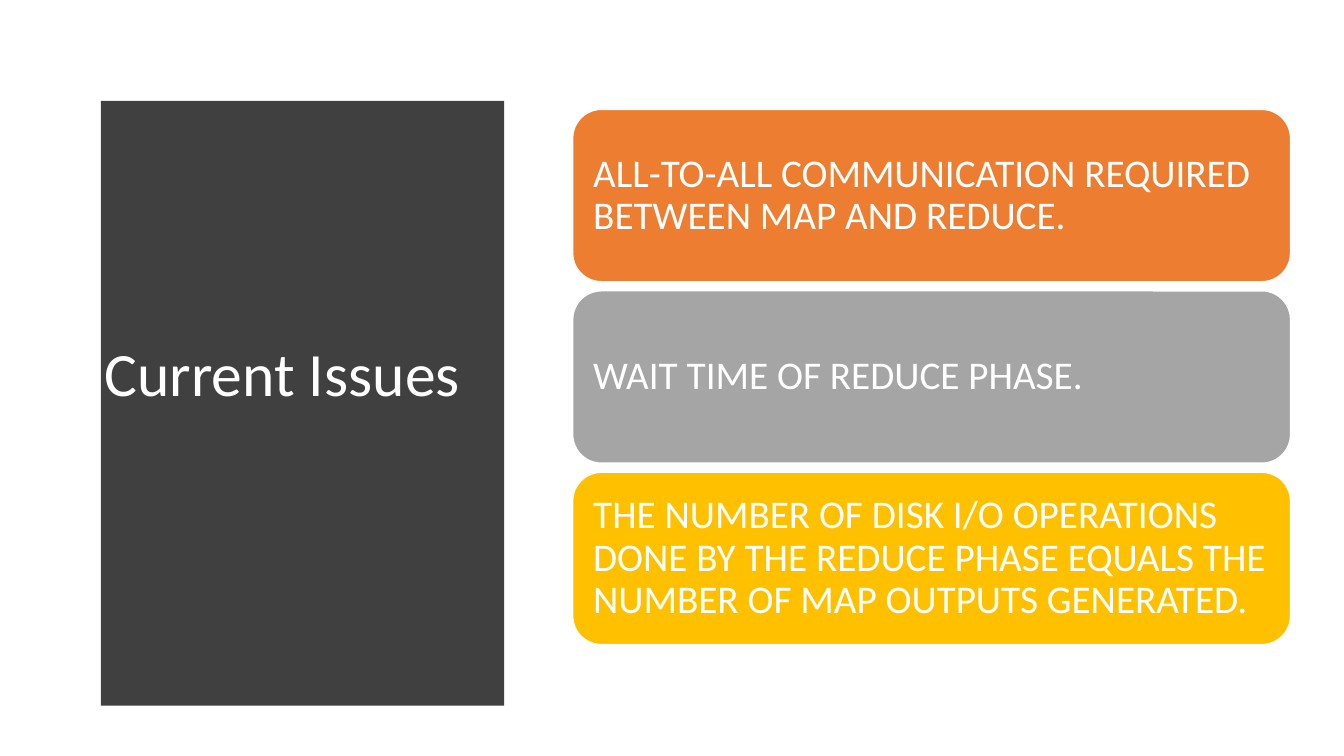
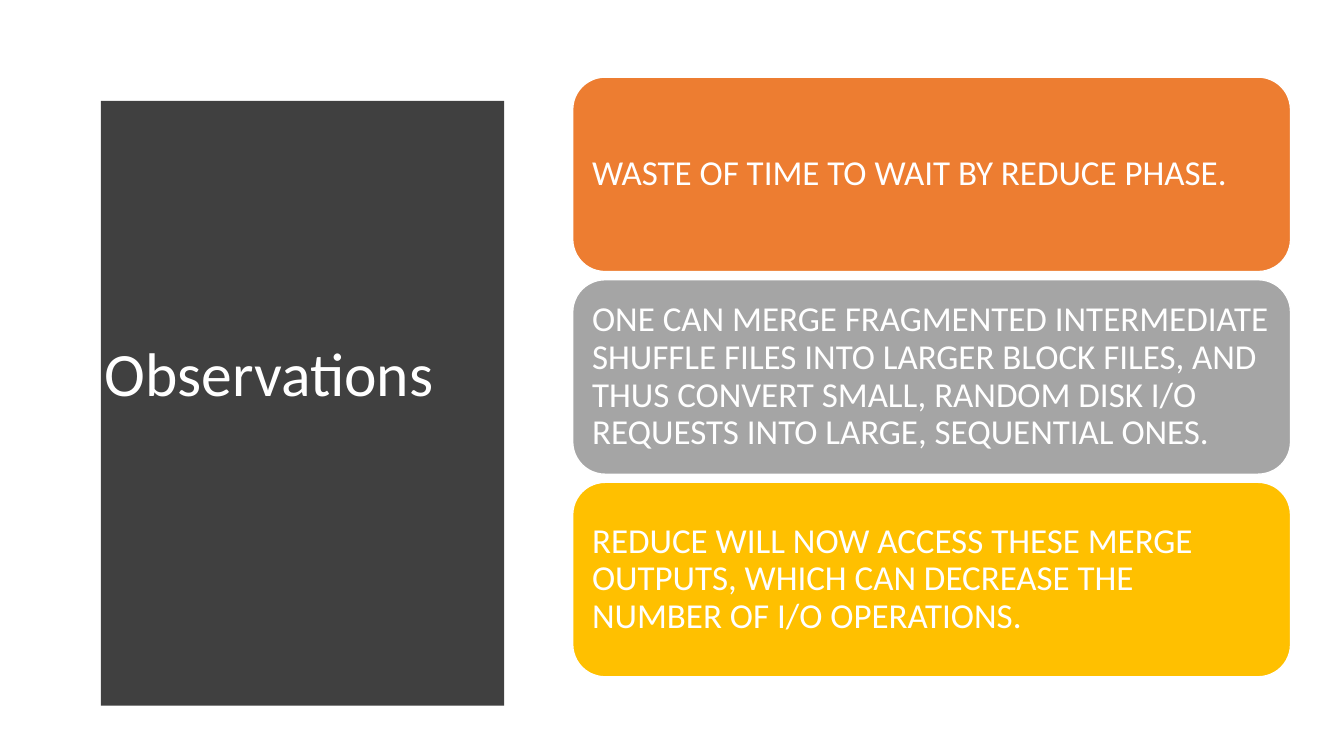
from pptx import Presentation
from pptx.dml.color import RGBColor
from pptx.enum import shapes, text
from pptx.util import Inches, Pt

WHITE = RGBColor(0xFF, 0xFF, 0xFF)
CHARCOAL = RGBColor(0x40, 0x40, 0x40)
ORANGE = RGBColor(0xED, 0x7D, 0x31)
GRAY = RGBColor(0xA5, 0xA5, 0xA5)
GOLD = RGBColor(0xFF, 0xC0, 0x00)
CARD_COLORS = (ORANGE, GRAY, GOLD)
FONT = "Calibri"

# Card text size is in points; card height, gap and inset are in inches.
SLIDES = [
    {
        "title": "Current Issues",
        "size": 28, "height": 1.71, "gap": 0.09, "inset": 0.12,
        "cards": [
            "ALL-TO-ALL COMMUNICATION REQUIRED BETWEEN MAP AND REDUCE.",
            "WAIT TIME OF REDUCE PHASE.",
            "THE NUMBER OF DISK I/O OPERATIONS DONE BY THE REDUCE PHASE "
            "EQUALS THE NUMBER OF MAP OUTPUTS GENERATED.",
        ],
    },
    {
        "title": "Observations",
        "size": 25, "height": 1.93, "gap": 0.08, "inset": 0.1,
        "cards": [
            "WASTE OF TIME TO WAIT BY REDUCE PHASE.",
            "ONE CAN MERGE FRAGMENTED INTERMEDIATE SHUFFLE FILES INTO LARGER "
            "BLOCK FILES, AND THUS CONVERT SMALL, RANDOM DISK I/O REQUESTS "
            "INTO LARGE, SEQUENTIAL ONES.",
            "REDUCE WILL NOW ACCESS THESE MERGE OUTPUTS, WHICH CAN DECREASE "
            "THE NUMBER OF I/O OPERATIONS.",
        ],
    },
]

SLIDE_W, SLIDE_H = 13.33, 7.5
PANEL_LEFT, PANEL_RIGHT = 0.53, 5.08
PANEL_TOP, PANEL_BOTTOM = 0.52, 6.96
PANEL_BULGE, CURVE_STEPS = 0.24, 40
MIDDLE = (PANEL_TOP + PANEL_BOTTOM) / 2
TITLE_LEFT, TITLE_W, TITLE_H = 0.94, 3.74, 5.24
CARD_LEFT, CARD_W = 5.68, 7.12


def write(box, words, size):
    """Put one white, left-aligned, vertically centred paragraph in a box."""
    frame = box.text_frame
    frame.word_wrap = True
    frame.vertical_anchor = text.MSO_ANCHOR.MIDDLE
    para = frame.paragraphs[0]
    para.text = words
    para.alignment = text.PP_ALIGN.LEFT
    para.line_spacing = 0.9
    para.font.name = FONT
    para.font.size = Pt(size)
    para.font.color.rgb = WHITE


def add_panel(page):
    """Draw the dark panel whose right edge bulges as a parabola."""
    half = (PANEL_BOTTOM - PANEL_TOP) / 2
    edge = []
    for step in range(CURVE_STEPS + 1):
        share = 2 * step / CURVE_STEPS - 1
        edge.append((PANEL_RIGHT + PANEL_BULGE * (1 - share ** 2),
                     MIDDLE + half * share))
    outline = page.shapes.build_freeform(PANEL_LEFT, PANEL_TOP, scale=Inches(1))
    outline.add_line_segments(edge + [(PANEL_LEFT, PANEL_BOTTOM)], close=True)
    panel = outline.convert_to_shape()
    panel.shadow.inherit = False
    panel.fill.solid()
    panel.fill.fore_color.rgb = CHARCOAL
    panel.line.fill.background()


def add_title(page, words):
    """Write the slide title on the panel."""
    box = page.shapes.add_textbox(
        Inches(TITLE_LEFT), Inches(MIDDLE - TITLE_H / 2),
        Inches(TITLE_W), Inches(TITLE_H))
    write(box, words, 44)


def add_cards(page, content):
    """Stack the rounded cards, centred on the panel's middle."""
    height, gap = content["height"], content["gap"]
    count = len(content["cards"])
    top = MIDDLE - (count * height + (count - 1) * gap) / 2
    for row, (words, color) in enumerate(zip(content["cards"], CARD_COLORS)):
        card = page.shapes.add_shape(
            shapes.MSO_SHAPE.ROUNDED_RECTANGLE,
            Inches(CARD_LEFT), Inches(top + row * (height + gap)),
            Inches(CARD_W), Inches(height))
        card.shadow.inherit = False
        card.fill.solid()
        card.fill.fore_color.rgb = color
        card.line.color.rgb = WHITE
        card.line.width = Pt(1)
        frame = card.text_frame
        frame.margin_left = frame.margin_right = Inches(content["inset"])
        frame.margin_top = frame.margin_bottom = Inches(content["inset"])
        write(card, words, content["size"])


deck = Presentation()
deck.slide_width, deck.slide_height = Inches(SLIDE_W), Inches(SLIDE_H)
for content in SLIDES:
    page = deck.slides.add_slide(deck.slide_layouts[6])
    add_panel(page)
    add_title(page, content["title"])
    add_cards(page, content)
deck.save("out.pptx")
